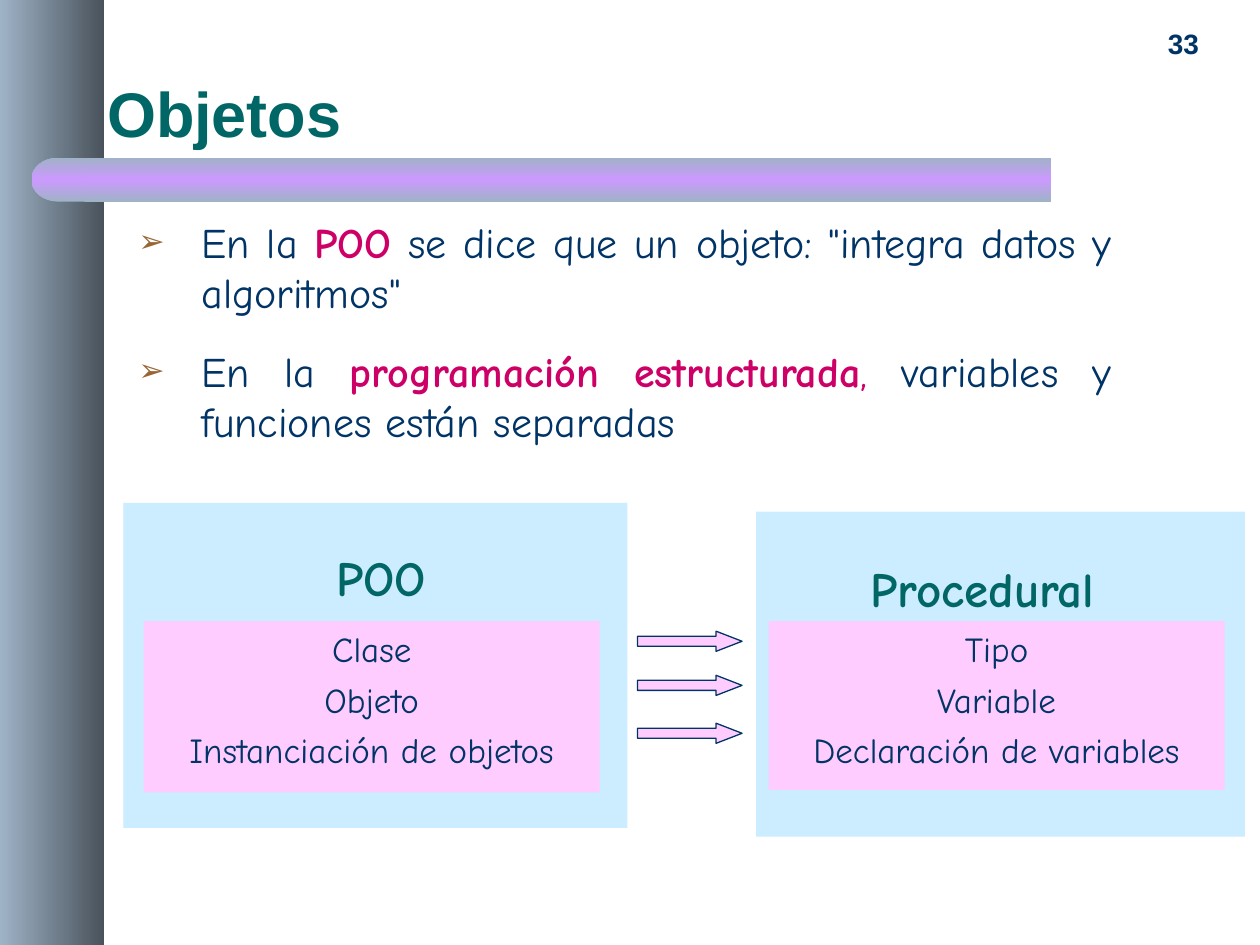
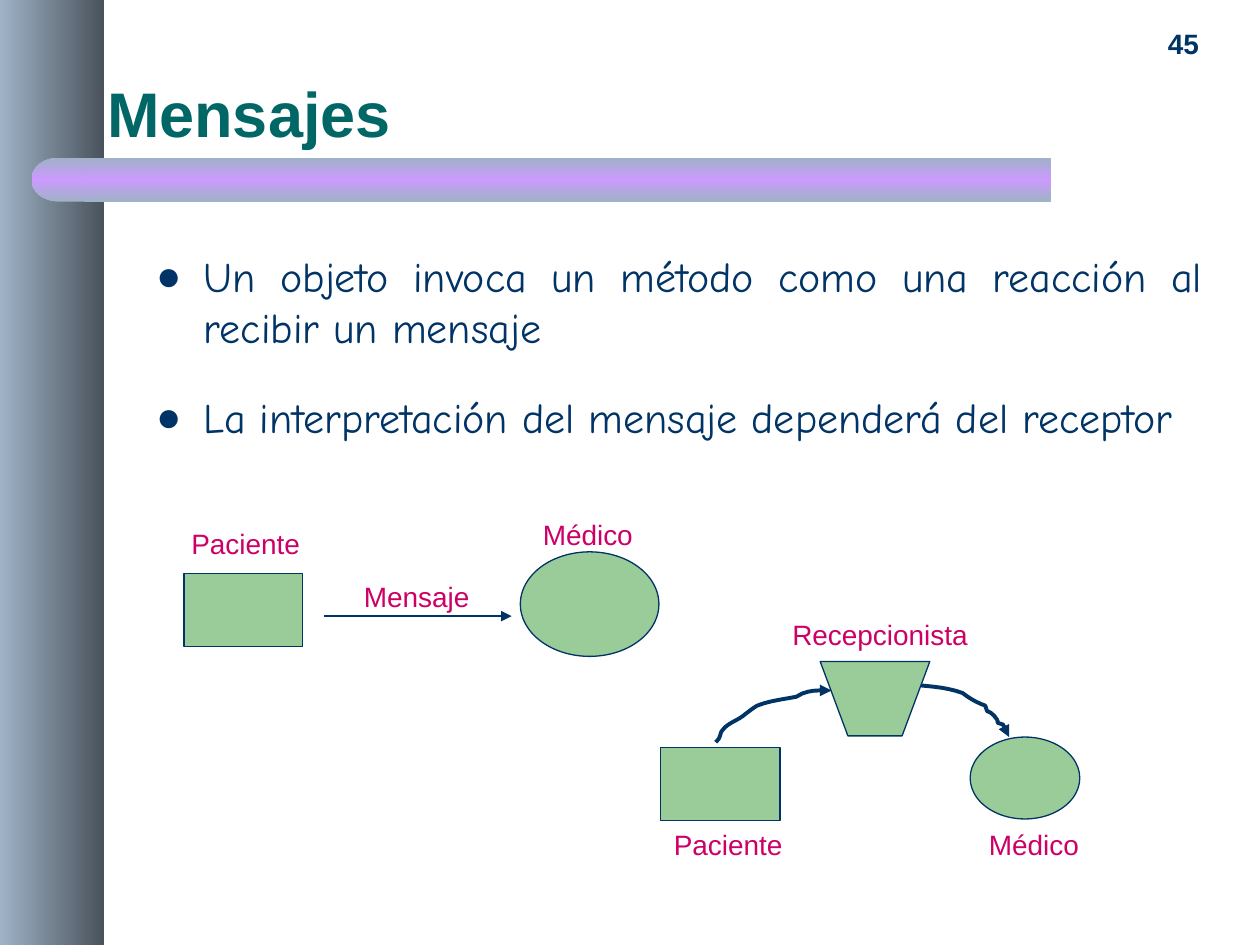
from copy import deepcopy
from lxml.etree import SubElement
from pptx import Presentation
from pptx.dml.color import RGBColor
from pptx.enum.shapes import MSO_CONNECTOR as Link, MSO_SHAPE as Kind
from pptx.enum.text import MSO_ANCHOR as Anchor, MSO_AUTO_SIZE as Auto, PP_ALIGN as Align
from pptx.oxml.ns import qn
from pptx.util import Inches, Pt

NAVY, TEAL, PINK = "003366", "006666", "CC0066"
SKY, ROSE, GREEN, WHITE = "CCECFF", "FFCCFF", "99CC99", "FFFFFF"
STEEL, SLATE, LILAC, BROWN = "9FB3C7", "49525B", "CC99FF", "996633"
SANS, COMIC = "Arial", "Comic Neue"

IDEAS = [
    [("En la ", NAVY, False), ("POO", PINK, True),
     (" se dice que un objeto: \"integra datos y algoritmos\"", NAVY, False)],
    [("En la ", NAVY, False), ("programación estructurada", PINK, True),
     (",", PINK, False), (" variables y funciones están separadas", NAVY, False)],
]
NOTES = [
    [("Un objeto invoca un método como una reacción al recibir un mensaje", NAVY, False)],
    [("La interpretación del mensaje dependerá del receptor", NAVY, False)],
]
PANELS = [
    ("Procedural", (6, 4.06, 3.88, 2.58), (6.46, 4.38), (6.1, 4.93, 3.62, 1.34),
     ["Tipo", "Variable", "Declaración de variables"]),
    ("POO", (0.98, 3.99, 4, 2.58), (1.69, 4.3), (1.14, 4.93, 3.62, 1.36),
     ["Clase", "Objeto", "Instanciación de objetos"]),
]
ARROWS = [5.01, 5.36, 5.74]
ACTORS = [
    (Kind.RECTANGLE, (1.46, 4.55, 0.94, 0.58)),
    (Kind.OVAL, (4.13, 4.38, 1.1, 0.83)),
    (Kind.OVAL, (7.7, 5.85, 0.87, 0.65)),
    (Kind.RECTANGLE, (5.24, 5.93, 0.95, 0.58)),
]
LABELS = [
    ("Médico", 4.21, 4.06), ("Paciente", 1.42, 4.13), ("Mensaje", 2.79, 4.55),
    ("Recepcionista", 6.19, 4.85), ("Médico", 7.75, 6.52), ("Paciente", 5.25, 6.52),
]
DESK = [(6.51, 5.25), (7.38, 5.25), (7.16, 5.84), (6.73, 5.84)]
CURVES = [
    [(5.68, 5.89),
     (5.69, 5.88), (5.71, 5.86), (5.71, 5.85),
     (5.72, 5.83), (5.72, 5.81), (5.73, 5.8),
     (5.77, 5.74), (5.85, 5.72), (5.9, 5.68),
     (5.91, 5.67), (5.99, 5.61), (6.01, 5.6),
     (6.11, 5.56), (6.22, 5.55), (6.32, 5.53),
     (6.41, 5.47), (6.5, 5.48), (6.6, 5.48)],
    [(7.31, 5.44),
     (7.42, 5.45), (7.53, 5.46), (7.64, 5.5),
     (7.69, 5.54), (7.76, 5.58), (7.82, 5.6),
     (7.85, 5.69), (7.82, 5.61), (7.89, 5.68),
     (7.96, 5.76), (7.87, 5.72), (7.96, 5.75),
     (7.97, 5.76), (7.97, 5.78), (7.98, 5.79),
     (7.99, 5.81), (8.01, 5.85), (8.01, 5.85)],
]


def rgb(code):
    return RGBColor.from_string(code)


def inch(vals):
    return [Inches(v) for v in vals]


def paint(shape, fill=None, line=None, width=0.75):
    shape.shadow.inherit = False
    if fill:
        shape.fill.solid()
        shape.fill.fore_color.rgb = rgb(fill)
    else:
        shape.fill.background()
    if line:
        shape.line.color.rgb = rgb(line)
        shape.line.width = Pt(width)
    else:
        shape.line.fill.background()


def draw(slide, kind, at, fill, line=None):
    shape = slide.shapes.add_shape(kind, *inch(at))
    paint(shape, fill, line)
    return shape


def blend(shape, angle, codes):
    fill = shape.fill
    fill.gradient()
    fill.gradient_angle = angle
    stops = shape.element.spPr.find(qn("a:gradFill")).find(qn("a:gsLst"))
    while len(stops) < len(codes):
        stops.append(deepcopy(stops[0]))
    for i, (stop, code) in enumerate(zip(fill.gradient_stops, codes)):
        stop.position = i / (len(codes) - 1)
        stop.color.rgb = rgb(code)


def tip(shape):
    SubElement(shape.element.spPr.find(qn("a:ln")), qn("a:tailEnd"), type="triangle")


def write(shape, paras, size, font=SANS, align=Align.LEFT, anchor=Anchor.TOP, gap=0):
    frame = shape.text_frame
    frame.word_wrap = True
    frame.auto_size = Auto.NONE
    frame.vertical_anchor = anchor
    for i, runs in enumerate(paras):
        para = frame.add_paragraph() if i else frame.paragraphs[0]
        para.alignment = align
        para.space_before = Pt(gap if i else 0)
        for text, code, bold in runs:
            run = para.add_run()
            run.text = text
            run.font.name = font
            run.font.size = Pt(size)
            run.font.bold = bold
            run.font.color.rgb = rgb(code)
    return frame


def box(slide, at, *args, **opts):
    return write(slide.shapes.add_textbox(*inch(at)), *args, **opts)


def listing(slide, at, paras, gap, mark, code, scale, indent):
    frame = box(slide, at, paras, 24, COMIC, Align.JUSTIFY, gap=gap)
    for para in frame.paragraphs:
        props = para._p.get_or_add_pPr()
        props.set("marL", str(Inches(indent)))
        props.set("indent", str(-Inches(indent)))
        SubElement(SubElement(props, qn("a:buClr")), qn("a:srgbClr"), val=code)
        SubElement(props, qn("a:buSzPct"), val=str(scale * 1000))
        SubElement(props, qn("a:buFont"), typeface=SANS)
        SubElement(props, qn("a:buChar"), char=mark)


def trace(slide, points, closed):
    start, *rest = [inch(p) for p in points]
    path = slide.shapes.build_freeform(*start)
    path.add_line_segments(rest, close=closed)
    return path.convert_to_shape()


def bend(points, steps=6):
    found = [points[0]]
    for i in range(0, len(points) - 1, 3):
        a, b, c, d = points[i:i + 4]
        for n in range(1, steps + 1):
            t = n / steps
            u = 1 - t
            found.append([u**3 * p + 3 * u * u * t * q + 3 * u * t * t * r + t**3 * s
                          for p, q, r, s in zip(a, b, c, d)])
    return found


def begin(deck, name, number):
    slide = deck.slides.add_slide(deck.slide_layouts[5])
    side = draw(slide, Kind.RECTANGLE, (0, 0, 0.83, 7.5), SLATE)
    blend(side, 180, [SLATE, STEEL])
    draw(slide, Kind.ROUNDED_RECTANGLE, (0.83, 0.83, 5.58, 0.67), WHITE).adjustments[0] = 0.5
    bar = draw(slide, Kind.RECTANGLE, (0.67, 1.25, 7.67, 0.35), LILAC)
    cap = draw(slide, Kind.FLOWCHART_DELAY, (0.25, 1.25, 0.43, 0.35), LILAC)
    cap.rotation = 180
    for part in (bar, cap):
        blend(part, 90, [STEEL, LILAC, STEEL])
    title = slide.shapes.title
    title.element.getparent().append(title.element)
    title.left, title.top, title.width, title.height = inch((0.75, 0.58, 8.75, 0.67))
    frame = write(title, [[(name, TEAL, True)]], 36, anchor=Anchor.BOTTOM)
    frame.paragraphs[0].line_spacing = 0.9
    box(slide, (9.17, 0.16, 0.64, 0.37), [[(number, NAVY, True)]], 16, anchor=Anchor.BOTTOM)
    return slide


def objects(deck):
    slide = begin(deck, "Objetos", "33")
    listing(slide, (1, 1.67, 7.92, 2.16), IDEAS, 16, "➢", BROWN, 75, 0.5)
    for name, back, head, front, items in PANELS:
        draw(slide, Kind.RECTANGLE, back, SKY)
        card = draw(slide, Kind.RECTANGLE, front, ROSE)
        write(card, [[(item, NAVY, False)] for item in items], 20, COMIC, Align.CENTER, gap=5)
        box(slide, (*head, 2.67, 0.57), [[(name, TEAL, True)]], 28, COMIC, Align.CENTER)
    for top in ARROWS:
        arrow = draw(slide, Kind.RIGHT_ARROW, (5.06, top, 0.83, 0.16), ROSE, NAVY)
        arrow.adjustments[1] = 1.29


def messages(deck):
    slide = begin(deck, "Mensajes", "45")
    listing(slide, (1.14, 1.94, 8.5, 1.8), NOTES, 23, "●", NAVY, 100, 0.38)
    for kind, at in ACTORS:
        draw(slide, kind, at, GREEN, NAVY)
    paint(trace(slide, DESK, True), GREEN, NAVY)
    wire = slide.shapes.add_connector(Link.STRAIGHT, *inch((2.57, 4.89, 4.06, 4.89)))
    wire.line.color.rgb = rgb(NAVY)
    wire.line.width = Pt(0.75)
    tip(wire)
    SubElement(wire.element.spPr, qn("a:effectLst"))
    for points in CURVES:
        curve = trace(slide, bend(points), False)
        paint(curve, line=NAVY, width=2.25)
        tip(curve)
    for text, left, top in LABELS:
        box(slide, (left, top, 2, 0.37), [[(text, PINK, False)]], 16)


def main():
    deck = Presentation()
    deck.slide_width, deck.slide_height = inch((10, 7.5))
    objects(deck)
    messages(deck)
    deck.save("out.pptx")


if __name__ == "__main__":
    main()
